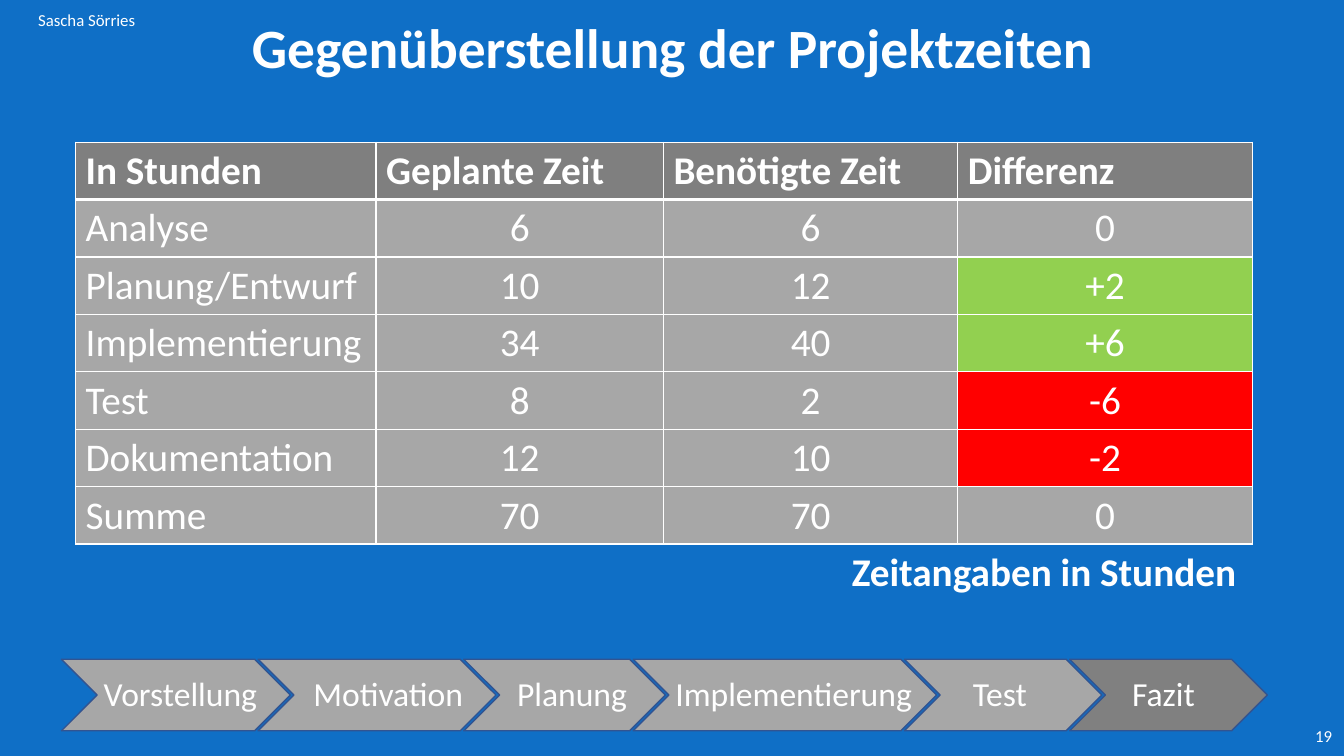
from lxml.etree import SubElement
from pptx import Presentation
from pptx.dml.color import RGBColor
from pptx.enum.shapes import MSO_SHAPE
from pptx.enum.text import MSO_ANCHOR, MSO_AUTO_SIZE, PP_ALIGN
from pptx.oxml.ns import qn
from pptx.util import Inches, Pt

# Content
TITLE = "Gegenüberstellung der Projektzeiten"
AUTHOR = "Sascha Sörries"
PAGE_NUMBER = "19"
TABLE_NOTE = "Zeitangaben in Stunden"
TIMES = [
    ("In Stunden", "Geplante Zeit", "Benötigte Zeit", "Differenz"),
    ("Analyse", "6", "6", "0"),
    ("Planung/Entwurf", "10", "12", "+2"),
    ("Implementierung", "34", "40", "+6"),
    ("Test", "8", "2", "-6"),
    ("Dokumentation", "12", "10", "-2"),
    ("Summe", "70", "70", "0"),
]
# Step name, chevron width, label indent
STEPS = [
    ("Vorstellung", 2.27, 0.32),
    ("Motivation", 2.36, 0.45),
    ("Planung", 2.0, 0.43),
    ("Implementierung", 3.01, 0.32),
    ("Test", 1.96, 0.58),
    ("Fazit", 1.96, 0.52),
]
CURRENT_STEP = "Fazit"

# Style and grid, in inches
FONT = "Calibri"
COLORS = {
    "background": "0F6FC6", "text": "FFFFFF", "header": "7F7F7F", "body": "A7A7A7",
    "more": "92D050", "less": "FF0000", "current": "808080", "outline": "325491",
}
SLIDE_WIDTH, SLIDE_HEIGHT = 13.33, 7.5
TABLE_LEFT, TABLE_TOP, ROW_HEIGHT = 0.75, 1.41, 0.57
COLUMN_WIDTHS = [2.98, 2.85, 2.92, 2.92]
STEP_LEFT, STEP_TOP, STEP_HEIGHT, STEP_OVERLAP = 0.61, 6.54, 0.71, 0.32


def color(name):
    return RGBColor.from_string(COLORS[name])


def write(text_frame, text, size, bold=False, align=PP_ALIGN.LEFT):
    text_frame.text = text
    paragraph = text_frame.paragraphs[0]
    paragraph.alignment = align
    font = paragraph.runs[0].font
    font.name, font.size, font.bold = FONT, Pt(size), bold
    font.color.rgb = color("text")


def add_text(slide, box, text, size, anchor=MSO_ANCHOR.TOP, **style):
    text_frame = slide.shapes.add_textbox(*map(Inches, box)).text_frame
    text_frame.word_wrap = True
    text_frame.vertical_anchor = anchor
    write(text_frame, text, size, **style)


def add_borders(cell, widths):
    properties = cell._tc.get_or_add_tcPr()
    for side, width in zip("LRTB", widths):
        line = SubElement(properties, qn(f"a:ln{side}"), w=str(Pt(width)))
        fill = SubElement(line, qn("a:solidFill"))
        SubElement(fill, qn("a:srgbClr"), val=COLORS["text"])


def cell_color(row, text):
    if row == 0:
        return "header"
    return {"+": "more", "-": "less"}.get(text[0], "body")


def add_times_table(slide):
    table = slide.shapes.add_table(
        len(TIMES), len(COLUMN_WIDTHS), Inches(TABLE_LEFT), Inches(TABLE_TOP),
        Inches(sum(COLUMN_WIDTHS)), Inches(ROW_HEIGHT * len(TIMES))).table
    for column, width in zip(table.columns, COLUMN_WIDTHS):
        column.width = Inches(width)
    for row, texts in enumerate(TIMES):
        for column, text in enumerate(texts):
            cell = table.cell(row, column)
            centered = row > 0 and column > 0
            write(cell.text_frame, text, 28, bold=row == 0,
                  align=PP_ALIGN.CENTER if centered else PP_ALIGN.LEFT)
            # Thick rule between header and body
            add_borders(cell, (1, 1, 3 if row == 1 else 1, 3 if row == 0 else 1))
            cell.fill.solid()
            cell.fill.fore_color.rgb = color(cell_color(row, text))


def add_steps(slide):
    left = STEP_LEFT
    for name, width, indent in STEPS:
        chevron = slide.shapes.add_shape(
            MSO_SHAPE.CHEVRON, Inches(left), Inches(STEP_TOP), Inches(width), Inches(STEP_HEIGHT))
        chevron.shadow.inherit = False
        chevron.fill.solid()
        chevron.fill.fore_color.rgb = color("current" if name == CURRENT_STEP else "body")
        chevron.line.color.rgb = color("outline")
        chevron.line.width = Pt(1)
        add_text(slide, (left + indent, STEP_TOP + 0.09, width, 0.5), name, 24)
        left += width - STEP_OVERLAP


def main():
    presentation = Presentation()
    presentation.slide_width = Inches(SLIDE_WIDTH)
    presentation.slide_height = Inches(SLIDE_HEIGHT)
    slide = presentation.slides.add_slide(presentation.slide_layouts[5])
    slide.background.fill.solid()
    slide.background.fill.fore_color.rgb = color("background")

    # Title
    title = slide.shapes.title
    title.left, title.top, title.width, title.height = map(Inches, (0.92, 0.16, 11.5, 0.69))
    title.text_frame.auto_size = MSO_AUTO_SIZE.NONE
    title.text_frame.vertical_anchor = MSO_ANCHOR.MIDDLE
    write(title.text_frame, TITLE, 39.6, bold=True, align=PP_ALIGN.CENTER)
    title.text_frame.paragraphs[0].line_spacing = 0.9

    # Progress bar, table and small texts
    add_steps(slide)
    add_times_table(slide)
    add_text(slide, (8.35, 5.38, 4.2, 0.57), TABLE_NOTE, 28, bold=True)
    add_text(slide, (0, 0, 1.72, 0.4), AUTHOR, 12, MSO_ANCHOR.MIDDLE, align=PP_ALIGN.CENTER)
    add_text(slide, (12.66, 7.1, 0.65, 0.4), PAGE_NUMBER, 12, MSO_ANCHOR.MIDDLE,
             align=PP_ALIGN.RIGHT)
    presentation.save("out.pptx")


if __name__ == "__main__":
    main()
